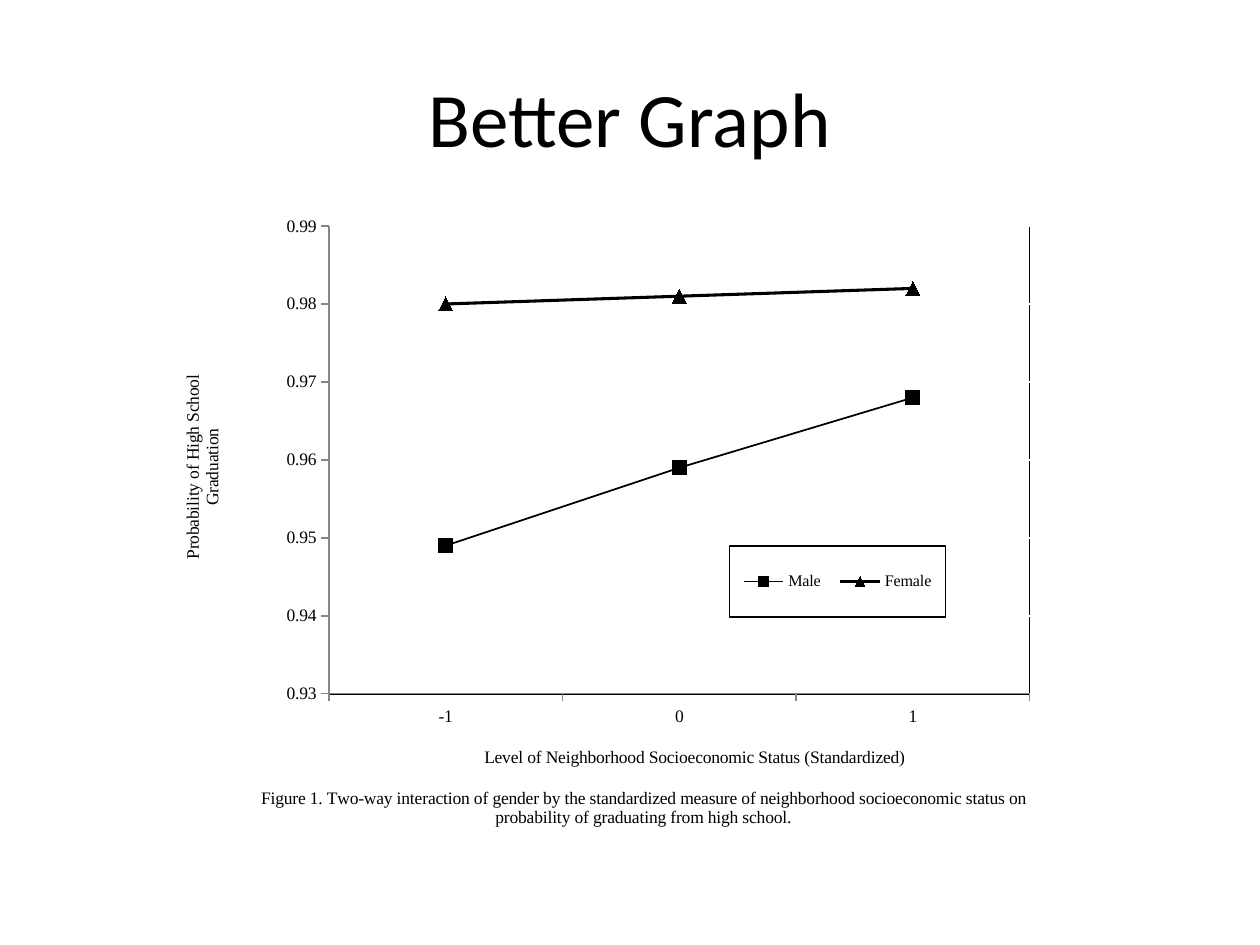
from lxml.etree import SubElement
from pptx import Presentation
from pptx.chart.data import CategoryChartData
from pptx.dml.color import RGBColor
from pptx.enum.chart import XL_CHART_TYPE as ChartType
from pptx.enum.chart import XL_LEGEND_POSITION as LegendPosition
from pptx.enum.chart import XL_MARKER_STYLE as Marker
from pptx.enum.chart import XL_TICK_MARK as Tick
from pptx.enum.text import MSO_ANCHOR, PP_ALIGN
from pptx.oxml import parse_xml
from pptx.oxml.ns import nsdecls, qn
from pptx.util import Cm, Pt

BLACK = RGBColor(0x00, 0x00, 0x00)
WHITE = RGBColor(0xFF, 0xFF, 0xFF)
GREY = RGBColor(0x86, 0x86, 0x86)
CHART_FONT = "Times New Roman"
LEVELS = ("-1", "0", "1")
GENDERS = (
    ("Male", (0.949, 0.959, 0.968), Marker.SQUARE, 1),
    ("Female", (0.980, 0.981, 0.982), Marker.TRIANGLE, 1.75),
)


def style_font(font, size, name=CHART_FONT):
    font.name = name
    font.size = Pt(size)
    font.bold = False
    font.color.rgb = BLACK


def style_line(line, color, width):
    line.color.rgb = color
    line.width = Pt(width)


def set_layout(parent, index, inner=False, **fractions):
    for old in parent.findall(qn("c:layout")):
        parent.remove(old)
    layout = parse_xml(f"<c:layout {nsdecls('c')}/>")
    manual = SubElement(layout, qn("c:manualLayout"))
    if inner:
        SubElement(manual, qn("c:layoutTarget")).set("val", "inner")
    for key in ("x", "y"):
        SubElement(manual, qn(f"c:{key}Mode")).set("val", "edge")
    for key, value in fractions.items():
        SubElement(manual, qn(f"c:{key}")).set("val", str(value))
    parent.insert(index, layout)


def add_border(parent, index):
    border = parse_xml(
        f'<c:spPr {nsdecls("c", "a")}><a:noFill/><a:ln w="9525"><a:solidFill>'
        f'<a:srgbClr val="{BLACK}"/></a:solidFill></a:ln></c:spPr>'
    )
    parent.insert(index, border)


def write_title(title, lines, x, y):
    frame = title.text_frame
    for number, line in enumerate(lines):
        para = frame.add_paragraph() if number else frame.paragraphs[0]
        para.alignment = PP_ALIGN.CENTER
        span = para.add_run()
        span.text = line
        style_font(span.font, 10)
    set_layout(title._element, 1, x=x, y=y)


def place_heading(page, left, top, width, height):
    title = page.shapes.title
    title.left, title.top, title.width, title.height = left, top, width, height
    frame = title.text_frame
    frame.vertical_anchor = MSO_ANCHOR.MIDDLE
    para = frame.paragraphs[0]
    para.alignment = PP_ALIGN.CENTER
    span = para.add_run()
    span.text = "Better Graph"
    style_font(span.font, 44, "Calibri")


def format_axes(chart):
    levels, probability = chart.category_axis, chart.value_axis
    for axis in (levels, probability):
        axis.major_tick_mark = Tick.OUTSIDE
        axis.minor_tick_mark = Tick.NONE
        style_font(axis.tick_labels.font, 10)
        style_line(axis.format.line, GREY, 0.75)
    probability.minimum_scale = 0.93
    probability.maximum_scale = 0.99
    probability.major_unit = 0.01
    probability.tick_labels.number_format = "0.00"
    probability.tick_labels.number_format_is_linked = False
    probability.has_major_gridlines = True
    style_line(probability.major_gridlines.format.line, WHITE, 0.75)
    write_title(levels.axis_title,
                ["Level of Neighborhood Socioeconomic Status (Standardized)"],
                0.35, 0.82)
    write_title(probability.axis_title,
                ["Probability of High School", "Graduation"], 0.05, 0.27)


def format_legend(chart):
    chart.has_legend = True
    legend = chart.legend
    legend.position = LegendPosition.RIGHT
    legend.include_in_layout = False
    style_font(legend.font, 9.2)
    element = legend._element
    set_layout(element, 1, x=0.595, y=0.529, w=0.213, h=0.105)
    add_border(element, element.index(element.find(qn("c:txPr"))))


def place_graph(page, left, top, width, height):
    data = CategoryChartData(number_format="0.000")
    data.categories = LEVELS
    for name, values, _, _ in GENDERS:
        data.add_series(name, values)
    chart = page.shapes.add_chart(
        ChartType.LINE_MARKERS, left, top, width, height, data).chart
    style_font(chart.font, 10)
    chart.plots[0].vary_by_categories = False
    for series, (_, _, marker, weight) in zip(chart.plots[0].series, GENDERS):
        series.smooth = False
        style_line(series.format.line, BLACK, weight)
        series.marker.style = marker
        series.marker.size = 8
        series.marker.format.fill.solid()
        series.marker.format.fill.fore_color.rgb = BLACK
        style_line(series.marker.format.line, BLACK, 0.75)
    format_axes(chart)
    format_legend(chart)
    chart.has_title = True
    write_title(chart.chart_title, [
        "Figure 1. Two-way interaction of gender by the standardized measure of "
        "neighborhood socioeconomic status on probability of graduating from "
        "high school."], 0.13, 0.88)
    plot_area = chart._chartSpace.chart.plotArea
    set_layout(plot_area, 0, inner=True, x=0.2, y=0.055, w=0.691, h=0.693)
    add_border(plot_area, len(plot_area))


deck = Presentation()
deck.slide_width, deck.slide_height = Cm(25.4), Cm(19.05)
page = deck.slides.add_slide(deck.slide_layouts[5])
place_heading(page, Cm(1.27), Cm(0.76), Cm(22.86), Cm(3.18))
place_graph(page, Cm(2.54), Cm(3.81), Cm(20.45), Cm(13.61))
deck.save("out.pptx")
